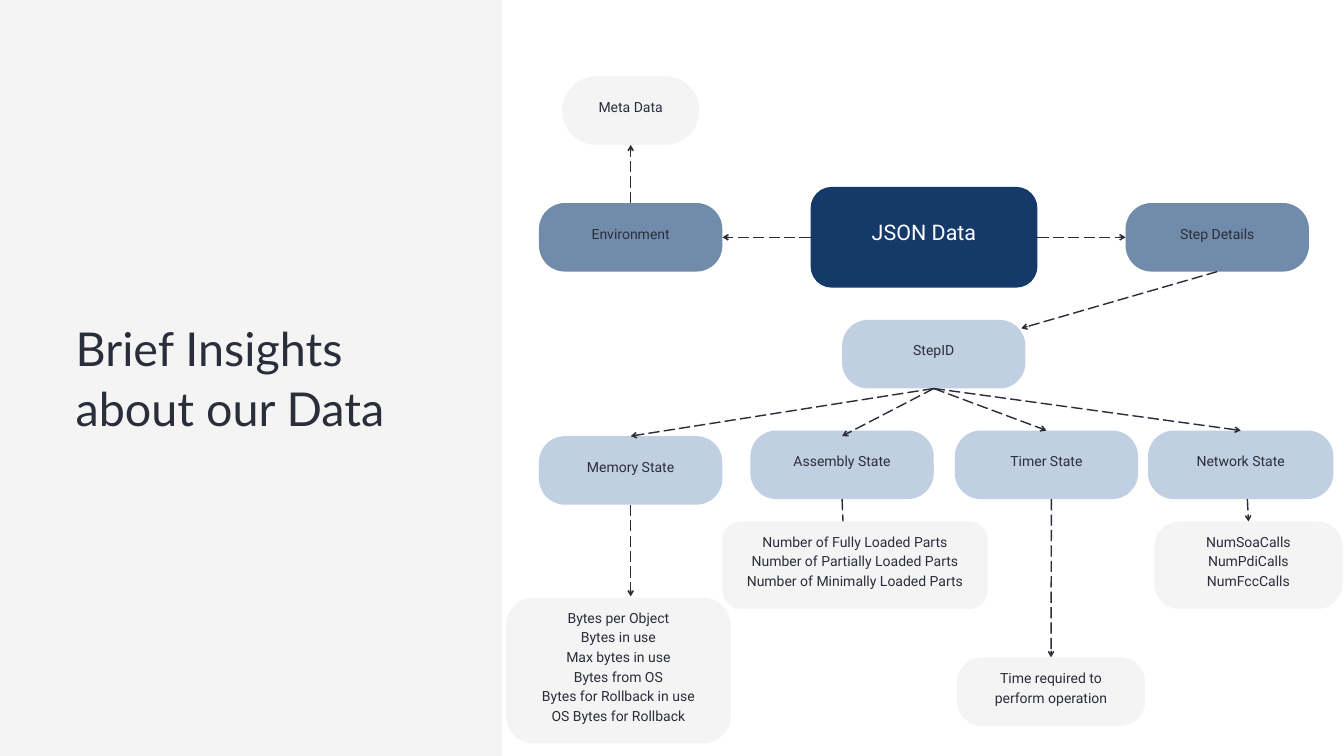
from lxml.etree import SubElement
from pptx import Presentation
from pptx.dml.color import RGBColor
from pptx.enum.dml import MSO_LINE
from pptx.enum.shapes import MSO_CONNECTOR, MSO_SHAPE
from pptx.enum.text import MSO_ANCHOR, MSO_AUTO_SIZE, PP_ALIGN
from pptx.oxml.ns import qn
from pptx.util import Pt

PX = 9525  # EMU per px, 96 px to the inch

INK = RGBColor(0x2A, 0x2E, 0x3A)
WHITE = RGBColor(0xFF, 0xFF, 0xFF)
PALE_GREY = RGBColor(0xF4, 0xF4, 0xF4)
NAVY = RGBColor(0x15, 0x39, 0x69)
STEEL = RGBColor(0x71, 0x8B, 0xAB)
LIGHT_BLUE = RGBColor(0xC0, 0xCF, 0xE1)

TOP, LEFT, BOTTOM, RIGHT = range(4)  # connection sites
NODE_W, NODE_H, NODE_RADIUS = 262, 98, 37


def emu(*lengths):
    return [length * PX for length in lengths]


def set_margins(frame, left, top, right, bottom):
    frame.margin_left, frame.margin_top = emu(left, top)
    frame.margin_right, frame.margin_bottom = emu(right, bottom)


def style_text(frame, font, size, color, line_spacing, align):
    for paragraph in frame.paragraphs:
        paragraph.alignment = align
        paragraph.line_spacing = Pt(line_spacing)
        for run in paragraph.runs:
            run.font.name = font
            run.font.size = Pt(size)
            run.font.color.rgb = color


def add_block(slide, kind, box, fill):
    block = slide.shapes.add_shape(kind, *emu(*box))
    block.shadow.inherit = False
    block.fill.solid()
    block.fill.fore_color.rgb = fill
    block.line.fill.background()
    return block


def add_node(slide, box, text, fill, radius=NODE_RADIUS, size=15,
             color=INK, line_spacing=21, top_margin=12):
    node = add_block(slide, MSO_SHAPE.ROUNDED_RECTANGLE, box, fill)
    node.adjustments[0] = round(radius / min(box[2:]), 2)
    frame = node.text_frame
    frame.word_wrap = True
    frame.vertical_anchor = MSO_ANCHOR.MIDDLE
    set_margins(frame, 27, top_margin, 27, 27)
    frame.text = text
    style_text(frame, "Roboto", size, color, line_spacing, PP_ALIGN.CENTER)
    return node


def add_arrow(slide, start, end):
    """Each end is a (node, site) joint or an (x, y) point in px."""
    joints = [None if isinstance(stop[0], int) else stop for stop in (start, end)]
    points = [(0, 0) if joint else stop
              for joint, stop in zip(joints, (start, end))]
    arrow = slide.shapes.add_connector(
        MSO_CONNECTOR.STRAIGHT, *emu(*points[0], *points[1]))
    if joints[0]:
        arrow.begin_connect(*joints[0])
    if joints[1]:
        arrow.end_connect(*joints[1])
    arrow.line.color.rgb = INK
    arrow.line.width = Pt(1.5)
    arrow.line.dash_style = MSO_LINE.LONG_DASH
    SubElement(arrow.line._get_or_add_ln(), qn("a:tailEnd"), type="arrow")
    SubElement(arrow.element.spPr, qn("a:effectLst"))


def build_title_panel(slide, box):
    left, top, _, _ = box
    panel = add_block(slide, MSO_SHAPE.RECTANGLE, box, PALE_GREY)
    title = slide.shapes.title
    title.element.addprevious(panel.element)
    title.left, title.top, title.width, title.height = emu(
        left + 108, top + 450, 536, 173)
    frame = title.text_frame
    frame.text = "Brief Insights about our Data"
    frame.word_wrap = True
    frame.auto_size = MSO_AUTO_SIZE.NONE
    frame.vertical_anchor = MSO_ANCHOR.TOP
    set_margins(frame, 0, 0, 0, 0)
    style_text(frame, "Lato", 50, INK, 65, PP_ALIGN.LEFT)


def build_overview(slide, box):
    """JSON data with its two branches; returns the step details node."""
    left, top, width, _ = box
    json_data = add_node(slide, (left + 388, top + 158, 324, 144), "JSON Data",
                         NAVY, 30, 23, WHITE, 32.2, 5)
    environment, step_details = [
        add_node(slide, (x, top + 181, NODE_W, NODE_H), text, STEEL)
        for x, text in ((left, "Environment"),
                        (left + width - NODE_W, "Step Details"))]
    meta_data = add_node(slide, (left + 33, top, 196, NODE_H), "Meta Data",
                         PALE_GREY, 49)
    add_arrow(slide, (json_data, RIGHT), (step_details, LEFT))
    add_arrow(slide, (json_data, LEFT), (environment, RIGHT))
    add_arrow(slide, (environment, TOP), (meta_data, BOTTOM))
    return step_details


def build_states(slide, box, step_details):
    """StepID, its four states and the values each state holds."""
    left, top, _, _ = box
    step_id = add_node(slide, (left + 480, top, NODE_W, NODE_H), "StepID",
                       LIGHT_BLUE)
    add_arrow(slide, (step_details, BOTTOM), (left + 736, top + 12))

    # State row
    memory, assembly, timer, network = [
        add_node(slide, (left + x, top + y, width, NODE_H), text, LIGHT_BLUE)
        for x, y, width, text in (
            (47, 166, NODE_W, "Memory State"),
            (349, 158, NODE_W, "Assembly State"),
            (641, 158, NODE_W, "Timer State"),
            (917, 158, 265, "Network State"))]
    for end in ((memory, TOP), (left + 480, top + 166),
                (timer, TOP), (network, TOP)):
        add_arrow(slide, (step_id, BOTTOM), end)

    # The assembly arrow runs behind its values
    add_arrow(slide, (assembly, BOTTOM), (left + 483, top + 330))

    # Values of each state
    _, _, time_values, call_values = [
        add_node(slide, (left + x, top + y, width, height), "\n".join(lines),
                 PALE_GREY, radius)
        for x, y, width, height, radius, lines in (
            (0, 397, 321, 208, 40,
             ("Bytes per Object", "Bytes in use", "Max bytes in use",
              "Bytes from OS", "Bytes for Rollback in use",
              "OS Bytes for Rollback")),
            (309, 288, 379, 125, 26,
             ("Number of Fully Loaded Parts",
              "Number of Partially Loaded Parts",
              "Number of Minimally Loaded Parts")),
            (644, 482, 269, NODE_H, 36,
             ("Time required to perform operation",)),
            (926, 288, 269, 125, 36,
             ("NumSoaCalls", "NumPdiCalls", "NumFccCalls")))]
    add_arrow(slide, (memory, BOTTOM), (left + 178, top + 395))
    add_arrow(slide, (left + 779, top + 256), (time_values, TOP))
    add_arrow(slide, (left + 1059, top + 256), (call_values, TOP))


def main():
    presentation = Presentation()
    presentation.slide_width, presentation.slide_height = emu(1920, 1080)
    slide = presentation.slides.add_slide(presentation.slide_layouts[5])
    build_title_panel(slide, (0, 0, 717, 1080))
    step_details = build_overview(slide, (770, 109, 1100, 302))
    build_states(slide, (723, 457, 1195, 605), step_details)
    presentation.save("out.pptx")


if __name__ == "__main__":
    main()
